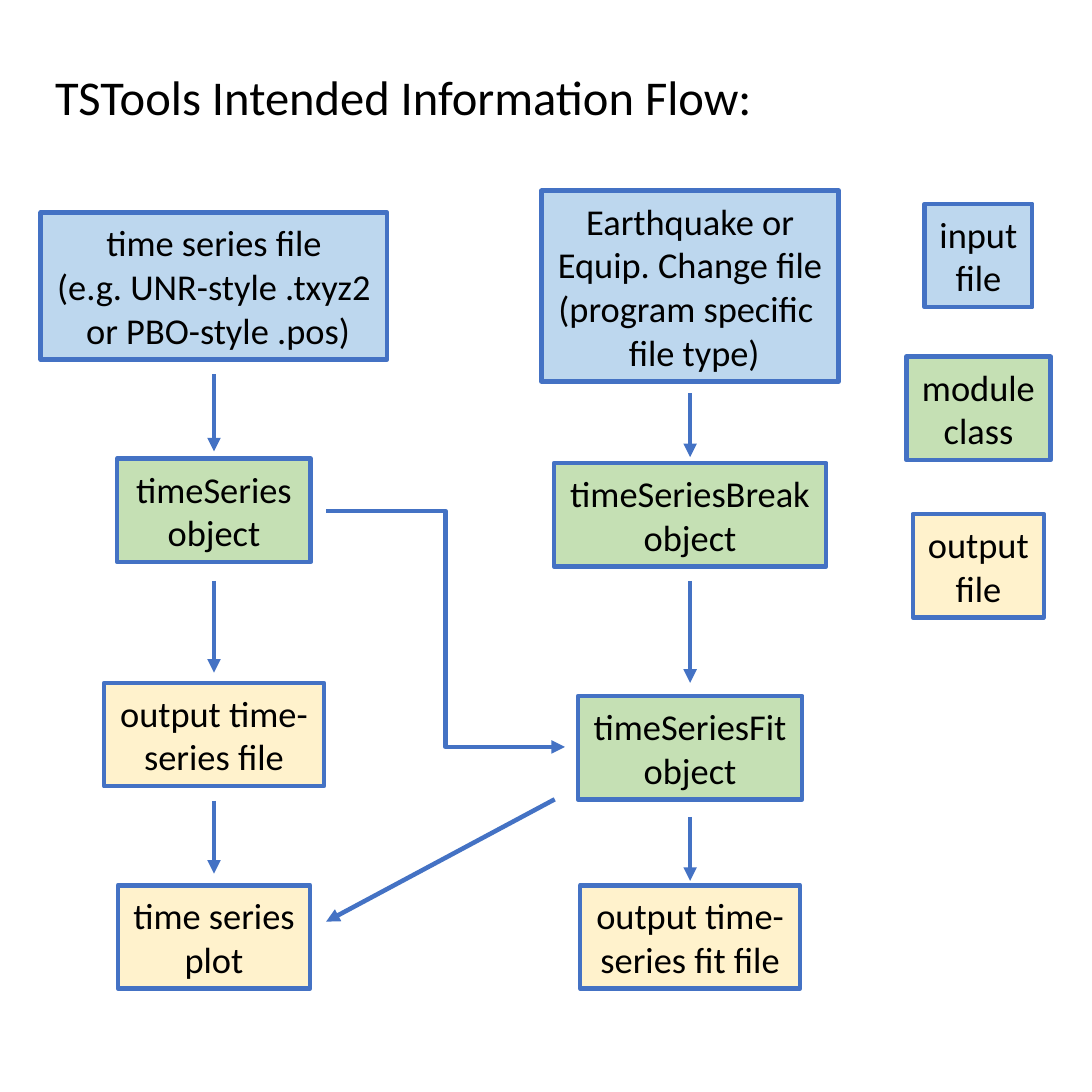
from lxml.etree import SubElement
from pptx import Presentation
from pptx.dml.color import RGBColor
from pptx.enum.shapes import MSO_CONNECTOR, MSO_SHAPE
from pptx.enum.text import MSO_ANCHOR, MSO_AUTO_SIZE, PP_ALIGN
from pptx.oxml.ns import qn
from pptx.util import Inches, Pt

INPUT, MODULE, OUTPUT = "BDD7EE", "C5E0B4", "FFF2CC"
SERIES_X, BREAK_X, LEGEND_X = 1.47, 4.74, 6.72

BOXES = [
    (SERIES_X, 1.46, 2.38, INPUT, "time series file\n(e.g. UNR-style .txyz2\n or PBO-style .pos)"),
    (SERIES_X, 3.15, 1.33, MODULE, "timeSeries\nobject"),
    (SERIES_X, 4.69, 1.51, OUTPUT, "output time-\nseries file"),
    (SERIES_X, 6.08, 1.32, OUTPUT, "time series\nplot"),
    (BREAK_X, 1.31, 2.04, INPUT, "Earthquake or\nEquip. Change file\n(program specific \n file type)"),
    (BREAK_X, 3.18, 1.87, MODULE, "timeSeriesBreak\nobject"),
    (BREAK_X, 4.78, 1.54, MODULE, "timeSeriesFit\nobject"),
    (BREAK_X, 6.08, 1.51, OUTPUT, "output time-\nseries fit file"),
    (LEGEND_X, 1.4, 0.74, INPUT, "input\nfile"),
    (LEGEND_X, 2.45, 0.99, MODULE, "module\nclass"),
    (LEGEND_X, 3.53, 0.9, OUTPUT, "output\nfile"),
]
DOWN_ARROWS = {
    SERIES_X: [(2.57, 3.1), (3.99, 4.62), (5.5, 6)],
    BREAK_X: [(2.7, 3.14), (3.99, 4.69), (5.61, 6.05)],
}


def color(hex_value):
    return RGBColor.from_string(hex_value)


def apply(target, values):
    for name, value in values.items():
        setattr(target, name, value)


class FlowSlide:
    """Draws the parts of an information flow on one slide in one style."""

    frame_format = {
        "word_wrap": False,
        "auto_size": MSO_AUTO_SIZE.SHAPE_TO_FIT_TEXT,
    }
    font_format = {"name": "Calibri"}
    line_format = {"width": Pt(2.25)}
    line_color = "4472C4"
    text_color = "000000"

    def __init__(self, slide):
        self.slide = slide

    def style_line(self, line):
        line.color.rgb = color(self.line_color)
        apply(line, self.line_format)

    def set_text(self, frame, text, size, alignment):
        frame.text = text
        apply(frame, self.frame_format)
        for paragraph in frame.paragraphs:
            paragraph.alignment = alignment
            for run in paragraph.runs:
                apply(run.font, {**self.font_format, "size": Pt(size)})
                run.font.color.rgb = color(self.text_color)

    def title(self, left, top, width, height, text):
        heading = self.slide.shapes.add_textbox(
            Inches(left), Inches(top), Inches(width), Inches(height))
        self.set_text(heading.text_frame, text, 24, PP_ALIGN.LEFT)

    def box(self, center, top, width, fill, text):
        height = 0.11 + 0.3 * len(text.split("\n"))
        step = self.slide.shapes.add_shape(
            MSO_SHAPE.RECTANGLE, Inches(center - width / 2), Inches(top),
            Inches(width), Inches(height))
        step.shadow.inherit = False
        step.fill.solid()
        step.fill.fore_color.rgb = color(fill)
        self.style_line(step.line)
        self.set_text(step.text_frame, text, 18, PP_ALIGN.CENTER)
        step.text_frame.vertical_anchor = MSO_ANCHOR.MIDDLE

    def arrow(self, start, end, route=MSO_CONNECTOR.STRAIGHT):
        flow = self.slide.shapes.add_connector(
            route, *(Inches(value) for value in (*start, *end)))
        self.style_line(flow.line)
        properties = flow.element.spPr
        SubElement(properties.find(qn("a:ln")), qn("a:tailEnd"), type="triangle")
        SubElement(properties, qn("a:effectLst"))


def main():
    deck = Presentation()
    apply(deck, {"slide_width": Inches(7.5), "slide_height": Inches(7.5)})
    flow = FlowSlide(deck.slides.add_slide(deck.slide_layouts[6]))

    flow.title(0.28, 0.41, 5.03, 0.5, "TSTools Intended Information Flow:")
    for box in BOXES:
        flow.box(*box)
    for center, spans in DOWN_ARROWS.items():
        for top, bottom in spans:
            flow.arrow((center, top), (center, bottom))
    flow.arrow((2.24, 3.51), (3.88, 5.13), MSO_CONNECTOR.ELBOW)
    flow.arrow((3.81, 5.49), (2.24, 6.33))

    deck.save("out.pptx")


if __name__ == "__main__":
    main()
